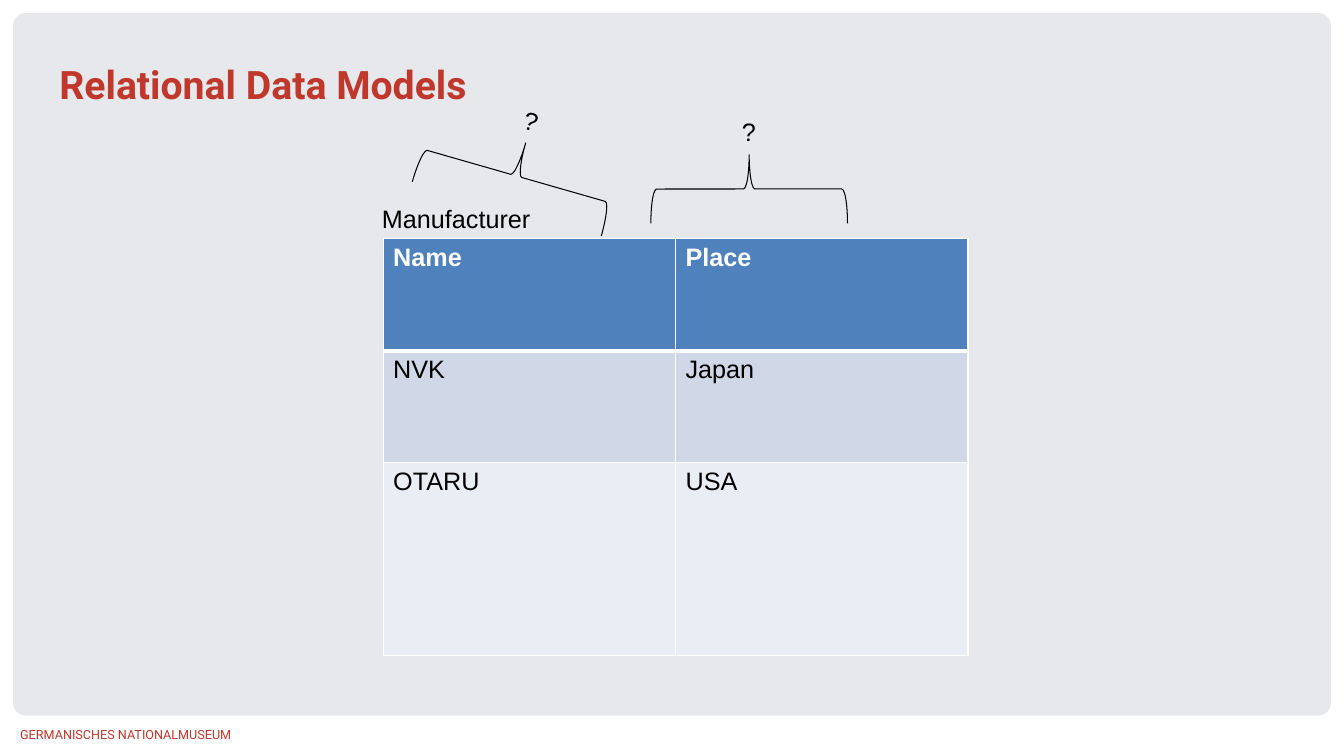
from dataclasses import dataclass
from typing import Any

from lxml import etree
from pptx import Presentation
from pptx.dml.color import RGBColor
from pptx.enum import shapes, text
from pptx.oxml import ns
from pptx.util import Emu, Pt

EMU_PER_PX = 9144

RED = RGBColor(0xC0, 0x37, 0x2C)
NAVY = RGBColor(0x0D, 0x23, 0x40)
BLACK = RGBColor(0x00, 0x00, 0x00)
WHITE = RGBColor(0xFF, 0xFF, 0xFF)
HEADER_BLUE = RGBColor(0x4F, 0x81, 0xBD)
BAND_DARK = RGBColor(0xD0, 0xD8, 0xE8)
BAND_LIGHT = RGBColor(0xE9, 0xED, 0xF4)

BODY_FONT = {"name": "Arial", "size": Pt(18), "bold": False}
HEADER_FONT = {**BODY_FONT, "bold": True}
TITLE_FONT = {"name": "Roboto", "size": Pt(28), "bold": True}
FOOTER_FONT = {"name": "Roboto", "size": Pt(9), "bold": False}

FLUSH_FRAME = {
    "word_wrap": True,
    "margin_left": 0,
    "margin_right": 0,
    "margin_top": 0,
    "margin_bottom": 0,
}
TITLE_FRAME = {**FLUSH_FRAME, "vertical_anchor": text.MSO_ANCHOR.TOP}
FOOTER_FRAME = {**FLUSH_FRAME, "vertical_anchor": text.MSO_ANCHOR.MIDDLE}
LABEL_FRAME = {"word_wrap": False, "auto_size": text.MSO_AUTO_SIZE.SHAPE_TO_FIT_TEXT}


@dataclass(frozen=True)
class Box:
    left: int
    top: int
    width: int
    height: int
    rotation: int = 0

    def emu(self) -> list[Emu]:
        return [px(n) for n in (self.left, self.top, self.width, self.height)]


@dataclass(frozen=True)
class Label:
    words: str
    box: Box
    font: dict[str, Any]
    frame: dict[str, Any]
    color: RGBColor


@dataclass(frozen=True)
class TableRow:
    cells: tuple[str, str]
    height: int
    fill: RGBColor
    font: dict[str, Any]
    color: RGBColor
    rule_above: int = 1
    rule_below: int = 1


PANEL = Box(13, 13, 1307, 697)
MANUFACTURERS = Box(380, 237, 580, 413)
BRACES = (Box(709, 90, 68, 195, 90), Box(478, 77, 68, 195, 106))
LABELS = (
    Label("GERMANISCHES NATIONALMUSEUM", Box(20, 709, 422, 40), FOOTER_FONT, FOOTER_FRAME, RED),
    Label("Relational Data Models", Box(59, 60, 1214, 47), TITLE_FONT, TITLE_FRAME, RED),
    Label("?", Box(726, 111, 34, 40), BODY_FONT, LABEL_FRAME, BLACK),
    Label("Manufacturer", Box(369, 197, 169, 40), BODY_FONT, LABEL_FRAME, BLACK),
    Label("?", Box(510, 100, 34, 40, 16), BODY_FONT, LABEL_FRAME, BLACK),
)
ROWS = (
    TableRow(("Name", "Place"), 111, HEADER_BLUE, HEADER_FONT, WHITE, rule_below=3),
    TableRow(("NVK", "Japan"), 111, BAND_DARK, BODY_FONT, BLACK, rule_above=3),
    TableRow(("OTARU", "USA"), 191, BAND_LIGHT, BODY_FONT, BLACK),
)


def px(count: int) -> Emu:
    return Emu(count * EMU_PER_PX)


def apply(target: Any, values: dict[str, Any]) -> None:
    for name, value in values.items():
        setattr(target, name, value)


def write(frame: Any, words: str, font: dict[str, Any], color: RGBColor) -> None:
    run = frame.paragraphs[0].add_run()
    run.text = words
    apply(run.font, font)
    run.font.color.rgb = color


def draw_panel(slide: Any, box: Box) -> None:
    panel = slide.shapes.add_shape(shapes.MSO_SHAPE.ROUNDED_RECTANGLE, *box.emu())
    panel.adjustments[0] = 0.018
    panel.shadow.inherit = False
    panel.line.fill.background()
    panel.fill.solid()
    panel.fill.fore_color.rgb = NAVY
    tint = panel.fill._xPr.find(".//" + ns.qn("a:srgbClr"))
    etree.SubElement(tint, ns.qn("a:alpha"), val="10000")


def draw_label(slide: Any, label: Label) -> None:
    holder = slide.shapes.add_textbox(*label.box.emu())
    holder.rotation = label.box.rotation
    apply(holder.text_frame, label.frame)
    write(holder.text_frame, label.words, label.font, label.color)


def draw_brace(slide: Any, box: Box) -> None:
    brace = slide.shapes.add_shape(shapes.MSO_SHAPE.LEFT_BRACE, *box.emu())
    brace.rotation = box.rotation
    brace.shadow.inherit = False
    brace.fill.background()
    brace.line.color.rgb = BLACK
    brace.line.width = Pt(0.75)


def rule_cell(cell: Any, row: TableRow) -> None:
    properties = cell._tc.get_or_add_tcPr()
    widths = {"lnL": 1, "lnR": 1, "lnT": row.rule_above, "lnB": row.rule_below}
    for side, points in widths.items():
        rule = etree.SubElement(properties, ns.qn(f"a:{side}"), w=str(Pt(points)))
        paint = etree.SubElement(rule, ns.qn("a:solidFill"))
        etree.SubElement(paint, ns.qn("a:srgbClr"), val=str(WHITE))


def draw_table(slide: Any, box: Box, rows: tuple[TableRow, ...]) -> None:
    columns = len(rows[0].cells)
    grid = slide.shapes.add_table(len(rows), columns, *box.emu()).table
    for column in grid.columns:
        column.width = px(box.width // columns)
    for r, row in enumerate(rows):
        grid.rows[r].height = px(row.height)
        for c, words in enumerate(row.cells):
            cell = grid.cell(r, c)
            rule_cell(cell, row)
            cell.fill.solid()
            cell.fill.fore_color.rgb = row.fill
            write(cell.text_frame, words, row.font, row.color)


def main() -> None:
    deck = Presentation()
    apply(deck, {"slide_width": px(1333), "slide_height": px(750)})
    slide = deck.slides.add_slide(deck.slide_layouts[6])
    draw_panel(slide, PANEL)
    draw_table(slide, MANUFACTURERS, ROWS)
    for brace in BRACES:
        draw_brace(slide, brace)
    for label in LABELS:
        draw_label(slide, label)
    deck.save("out.pptx")


if __name__ == "__main__":
    main()
